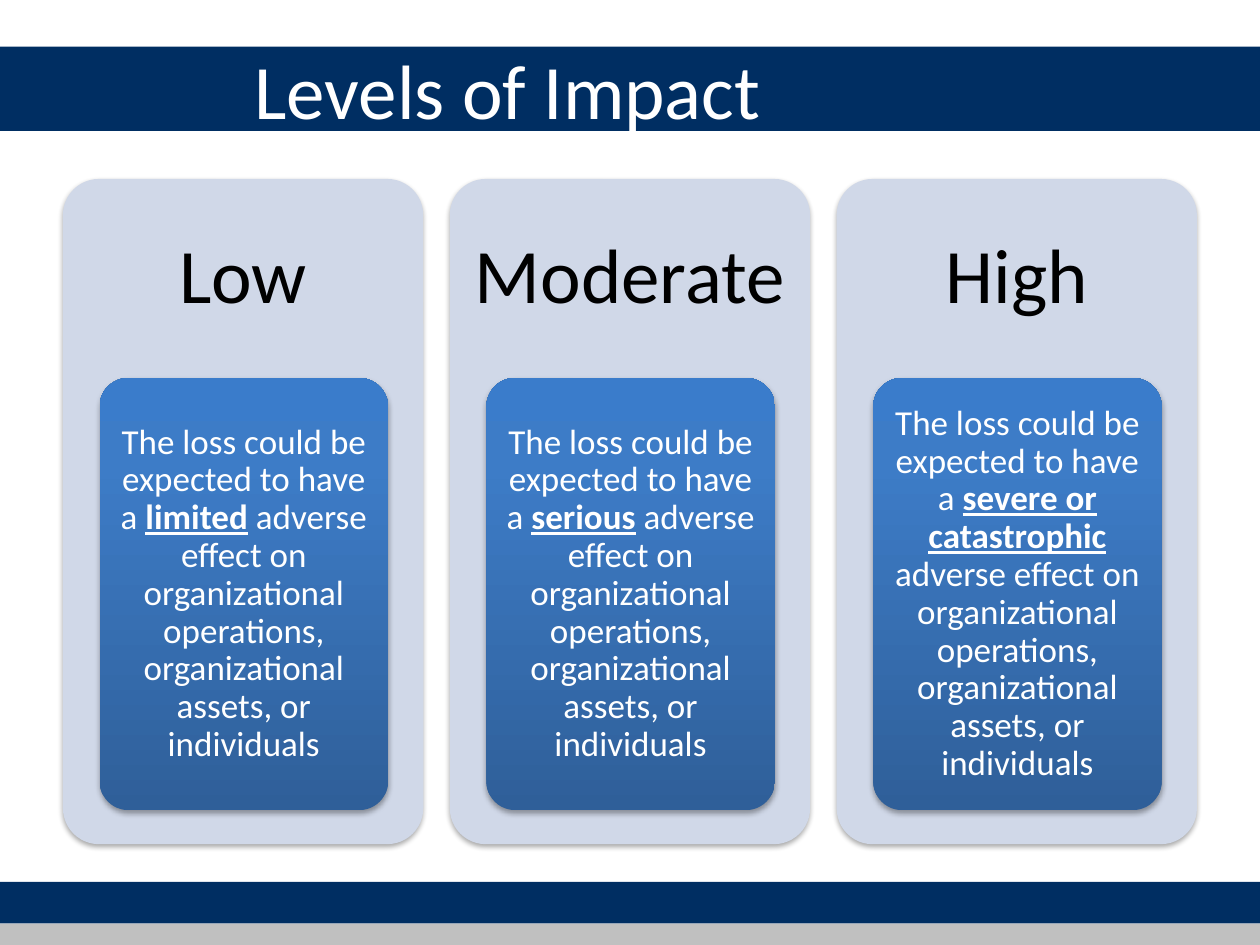
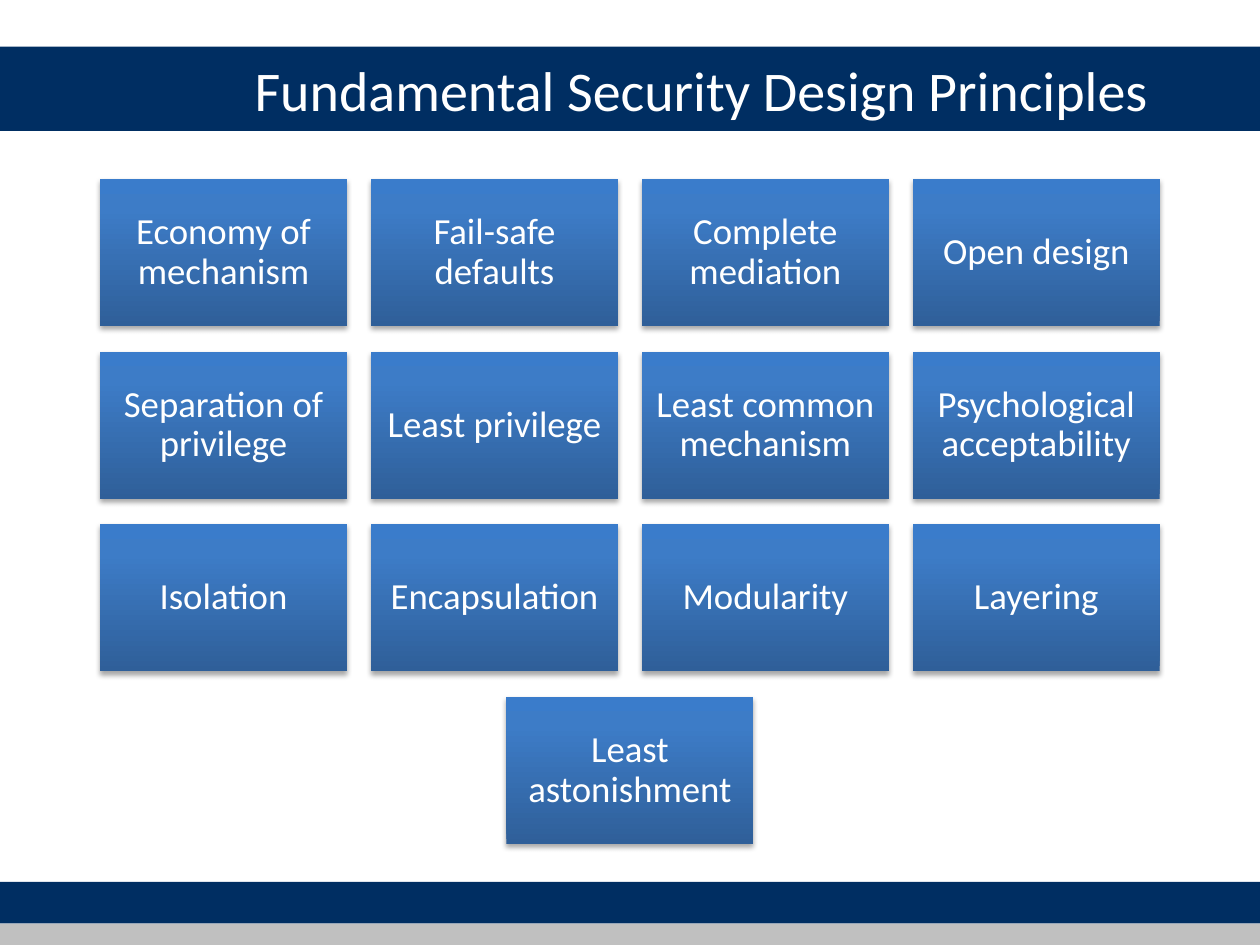
"""Build two slides: levels of impact and security design principles."""
from pptx import Presentation
from pptx.dml.color import RGBColor
from pptx.enum.shapes import MSO_SHAPE as SHAPE
from pptx.enum.text import MSO_ANCHOR as ANCHOR, MSO_AUTO_SIZE as AUTO, PP_ALIGN as ALIGN
from pptx.oxml import parse_xml
from pptx.util import Inches, Pt

NAVY = RGBColor(0x00, 0x2E, 0x62)
GREY = RGBColor(0xC0, 0xC0, 0xC0)
PALE = RGBColor(0xD0, 0xD8, 0xE8)
WHITE = RGBColor(0xFF, 0xFF, 0xFF)
BLACK = RGBColor(0x00, 0x00, 0x00)
FADE = [(0, RGBColor(0x2F, 0x5F, 0x99)), (80, RGBColor(0x3D, 0x7C, 0xC7)),
        (100, RGBColor(0x3A, 0x7C, 0xCB))]
FONT = "Calibri"
NS = 'xmlns:a="http://schemas.openxmlformats.org/drawingml/2006/main"'
STOPS = "".join(f'<a:gs pos="{pos * 1000}"><a:srgbClr val="{tint}"/></a:gs>' for pos, tint in FADE)
GRAD = f'<a:gradFill {NS} rotWithShape="1"><a:gsLst>{STOPS}</a:gsLst><a:lin ang="16200000" scaled="0"/></a:gradFill>'
SHADE = (f'<a:outerShdw {NS} blurRad="40000" dist="23000" dir="5400000" rotWithShape="0">'
         '<a:srgbClr val="000000"><a:alpha val="35000"/></a:srgbClr></a:outerShdw>')


def add_box(slide, kind, left, top, wide, high, fill=None):
    """Add a borderless box, with the blue fade and a shadow unless told otherwise."""
    box = slide.shapes.add_shape(kind, Inches(left), Inches(top), Inches(wide), Inches(high))
    if fill is None:
        box.element.spPr.insert(2, parse_xml(GRAD))
    else:
        box.fill.solid()
        box.fill.fore_color.rgb = fill
    box.line.fill.background()
    box.shadow.inherit = False
    return box


def add_text(box, parts, size, color, side, top, base):
    """Write centred runs in a shaded box, marking every second run."""
    box.element.spPr[-1].append(parse_xml(SHADE))
    frame = box.text_frame
    frame.word_wrap = True
    frame.vertical_anchor = ANCHOR.MIDDLE
    frame.margin_left = frame.margin_right = Inches(side)
    frame.margin_top, frame.margin_bottom = Inches(top), Inches(base)
    para = frame.paragraphs[0]
    para.alignment = ALIGN.CENTER
    para.line_spacing = 0.9
    para.font.name, para.font.size = FONT, Pt(size)
    para.font.color.rgb = color
    for spot, part in enumerate(parts):
        run = para.add_run()
        run.text = part
        if spot % 2:
            run.font.bold = run.font.underline = True


deck = Presentation()
deck.slide_width, deck.slide_height = Inches(10), Inches(7.5)
layout = deck.slide_layouts[5]
head = layout.placeholders[0]
head.left, head.top, head.width, head.height = Inches(1.92), Inches(0.08), Inches(7.92), Inches(1.25)

slides = []
for title, size in [("Levels of Impact", 44), ("Fundamental Security Design Principles", 32)]:
    slide = deck.slides.add_slide(layout)
    frame = slide.shapes.title.text_frame
    frame.text = title
    frame.auto_size = AUTO.NONE
    frame.vertical_anchor = ANCHOR.MIDDLE
    para = frame.paragraphs[0]
    para.alignment = ALIGN.LEFT
    para.font.name, para.font.size = FONT, Pt(size)
    para.font.color.rgb = WHITE
    slides.append(slide)
impact, design = slides

for top, high, fill in [(7, 0.33, NAVY), (0.37, 0.67, NAVY), (7.33, 0.17, GREY)]:
    band = add_box(impact, SHAPE.RECTANGLE, 0, top, 10, high, fill)
    layout.shapes.element.insert(2, band.element)

LEVELS = [("Low", "limited", " "), ("Moderate", "serious", " "),
          ("High", "severe or catastrophic ", "")]
for col, (level, harm, gap) in enumerate(LEVELS):
    left = 0.5 + col * 3.07
    card = add_box(impact, SHAPE.ROUNDED_RECTANGLE, left, 1.42, 2.86, 5.28, PALE)
    card.adjustments[0] = 0.1
    add_text(card, [level], 44, BLACK, 0.1, 0.1, 3.8)
    note = add_box(impact, SHAPE.ROUNDED_RECTANGLE, left + 0.29, 3, 2.29, 3.43)
    note.adjustments[0] = 0.1
    tail = gap + "adverse effect on organizational operations, organizational assets, or individuals"
    add_text(note, ["The loss could be expected to have a ", harm, tail], 20, WHITE, 0.05, 0.04, 0.04)

RULES = ["Economy of mechanism", "Fail-safe defaults", "Complete mediation", "Open design",
         "Separation of privilege", "Least privilege", "Least common mechanism",
         "Psychological acceptability", "Isolation", "Encapsulation", "Modularity", "Layering",
         "Least astonishment"]
COLS, WIDE, HIGH, GAP = 4, 1.96, 1.17, 0.19
for start in range(0, len(RULES), COLS):
    row = RULES[start:start + COLS]
    left = (10 - len(row) * WIDE - (len(row) - 1) * GAP) / 2
    top = 1.42 + start // COLS * 1.37
    for col, rule in enumerate(row):
        tile = add_box(design, SHAPE.RECTANGLE, left + col * (WIDE + GAP), top, WIDE, HIGH)
        add_text(tile, [rule], 21, WHITE, 0.09, 0.09, 0.09)

deck.save("out.pptx")
